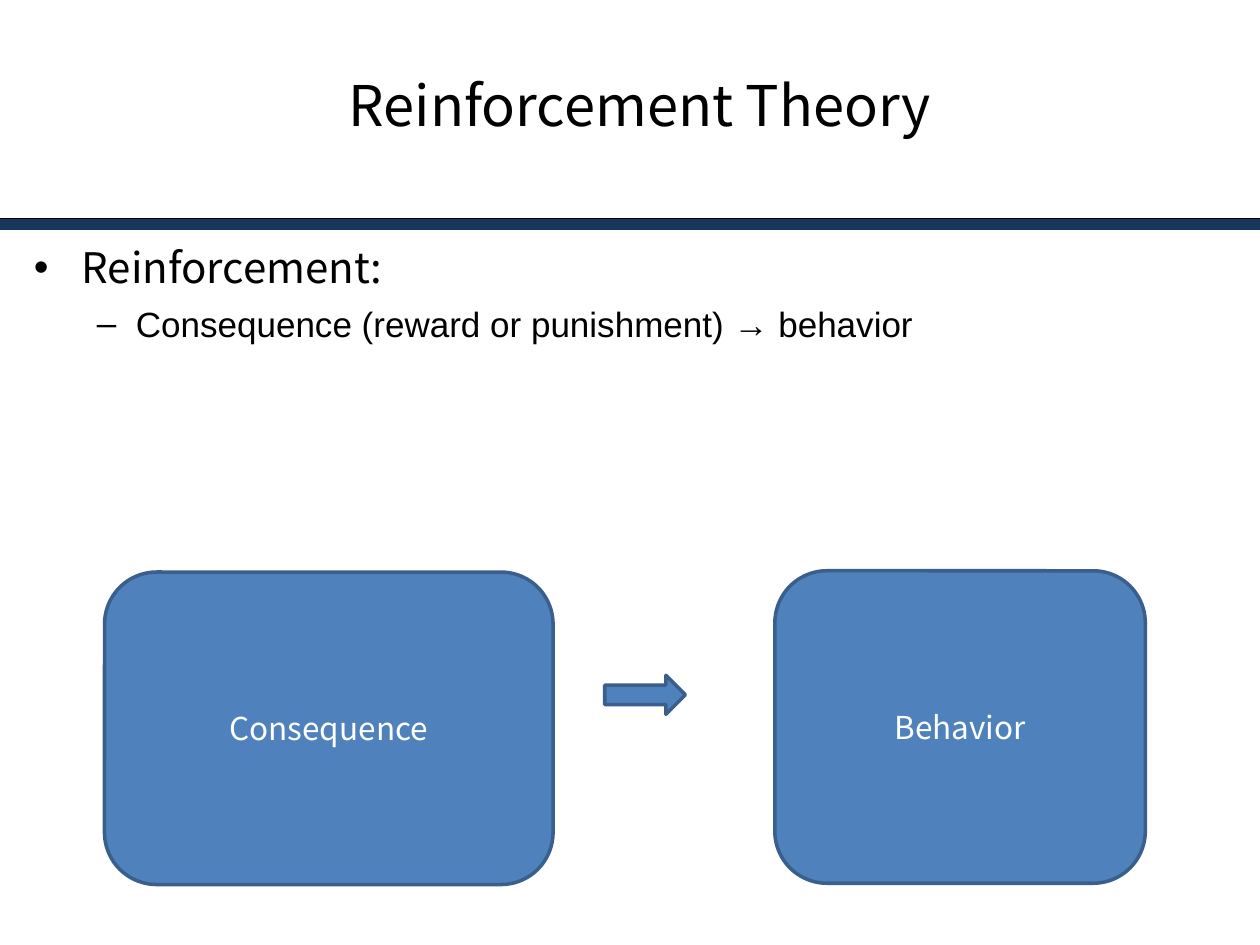
from lxml import etree
from pptx import Presentation
from pptx.dml.color import RGBColor
from pptx.enum.shapes import MSO_CONNECTOR, MSO_SHAPE
from pptx.enum.text import MSO_ANCHOR, PP_ALIGN
from pptx.oxml.ns import qn
from pptx.util import Inches, Pt

STRAIGHT = MSO_CONNECTOR.STRAIGHT
ROUNDED = MSO_SHAPE.ROUNDED_RECTANGLE
ARROW = MSO_SHAPE.RIGHT_ARROW
MIDDLE = MSO_ANCHOR.MIDDLE
CENTER = PP_ALIGN.CENTER

BLACK = RGBColor(0x00, 0x00, 0x00)
WHITE = RGBColor(0xFF, 0xFF, 0xFF)
NAVY = RGBColor(0x17, 0x37, 0x5E)
BLUE = RGBColor(0x4F, 0x81, 0xBD)
OUTLINE = RGBColor(0x3A, 0x5F, 0x8C)

SANS = "Noto Sans CJK KR"
ARIAL = "Arial"


def format_runs(paragraph, size, color, font):
    for run in paragraph.runs:
        run.font.size = Pt(size)
        run.font.name = font
        run.font.color.rgb = color


def add_rule(slide, y, color, width):
    """Draw a horizontal line across the whole slide."""
    rule = slide.shapes.add_connector(
        STRAIGHT, Inches(0), Inches(y), Inches(10), Inches(y))
    rule.line.color.rgb = color
    rule.line.width = Pt(width)
    etree.SubElement(rule._element.spPr, qn("a:effectLst"))


def add_text_frame(slide, left, top, width, height):
    box = slide.shapes.add_textbox(
        Inches(left), Inches(top), Inches(width), Inches(height))
    box.text_frame.word_wrap = True
    return box.text_frame


def add_title(slide, text):
    frame = add_text_frame(slide, 0.58, 0.04, 9, 1.57)
    frame.vertical_anchor = MIDDLE
    frame.text = text
    title = frame.paragraphs[0]
    title.alignment = CENTER
    format_runs(title, 32, BLACK, SANS)


def format_bullet(paragraph, mark, margin, hanging, space_before):
    paragraph.space_before = Pt(space_before)
    properties = paragraph._p.get_or_add_pPr()
    properties.set("marL", str(Inches(margin)))
    properties.set("indent", str(-Inches(hanging)))
    etree.SubElement(properties, qn("a:buFont"), typeface=ARIAL)
    etree.SubElement(properties, qn("a:buChar"), char=mark)


def add_outline(slide):
    frame = add_text_frame(slide, 0.17, 1.87, 9.7, 4.33)
    frame.text = "Reinforcement:"
    topic = frame.paragraphs[0]
    format_bullet(topic, "•", 0.38, 0.38, 20)
    format_runs(topic, 24, BLACK, SANS)

    detail = frame.add_paragraph()
    detail.text = "Consequence (reward or punishment) → behavior"
    detail.level = 1
    format_bullet(detail, "–", 0.81, 0.31, 6)
    format_runs(detail, 20, BLACK, ARIAL)


def add_block(slide, kind, left, top, width, height, label=""):
    block = slide.shapes.add_shape(
        kind, Inches(left), Inches(top), Inches(width), Inches(height))
    block.shadow.inherit = False
    block.fill.solid()
    block.fill.fore_color.rgb = BLUE
    block.line.color.rgb = OUTLINE
    block.line.width = Pt(2)
    if label:
        frame = block.text_frame
        frame.text = label
        frame.vertical_anchor = MIDDLE
        frame.paragraphs[0].alignment = CENTER
        format_runs(frame.paragraphs[0], 18, WHITE, SANS)


def main():
    presentation = Presentation()
    presentation.slide_width = Inches(10)
    presentation.slide_height = Inches(7.5)
    slide = presentation.slides.add_slide(presentation.slide_layouts[6])

    add_rule(slide, 1.78, NAVY, 7)
    add_rule(slide, 1.73, BLACK, 0.5)
    add_title(slide, "Reinforcement Theory")
    add_outline(slide)
    add_block(slide, ROUNDED, 0.83, 4.54, 3.56, 2.48, "Consequence")
    add_block(slide, ROUNDED, 6.15, 4.53, 2.94, 2.48, "Behavior")
    add_block(slide, ARROW, 4.8, 5.36, 0.64, 0.31)

    presentation.save("out.pptx")


if __name__ == "__main__":
    main()
